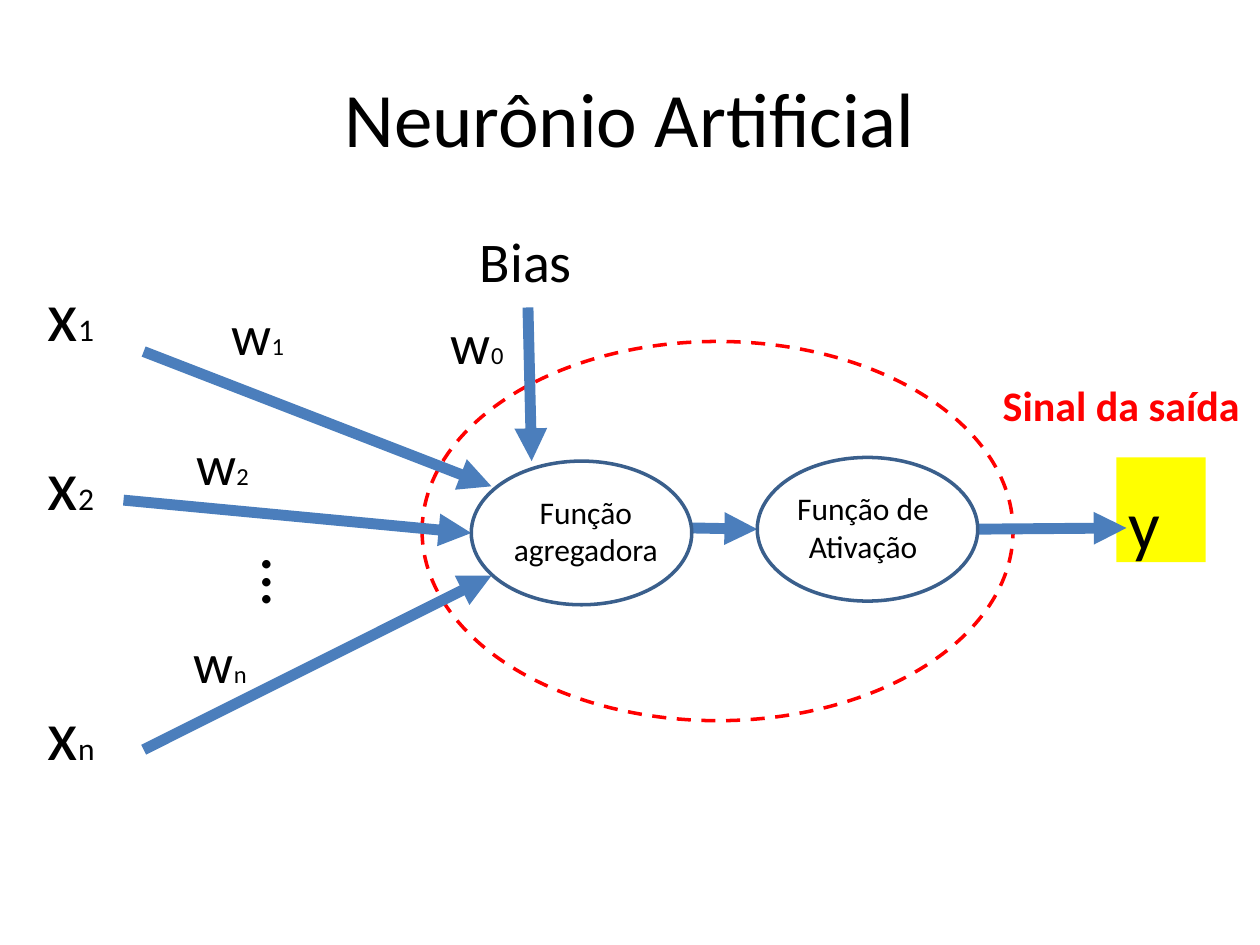
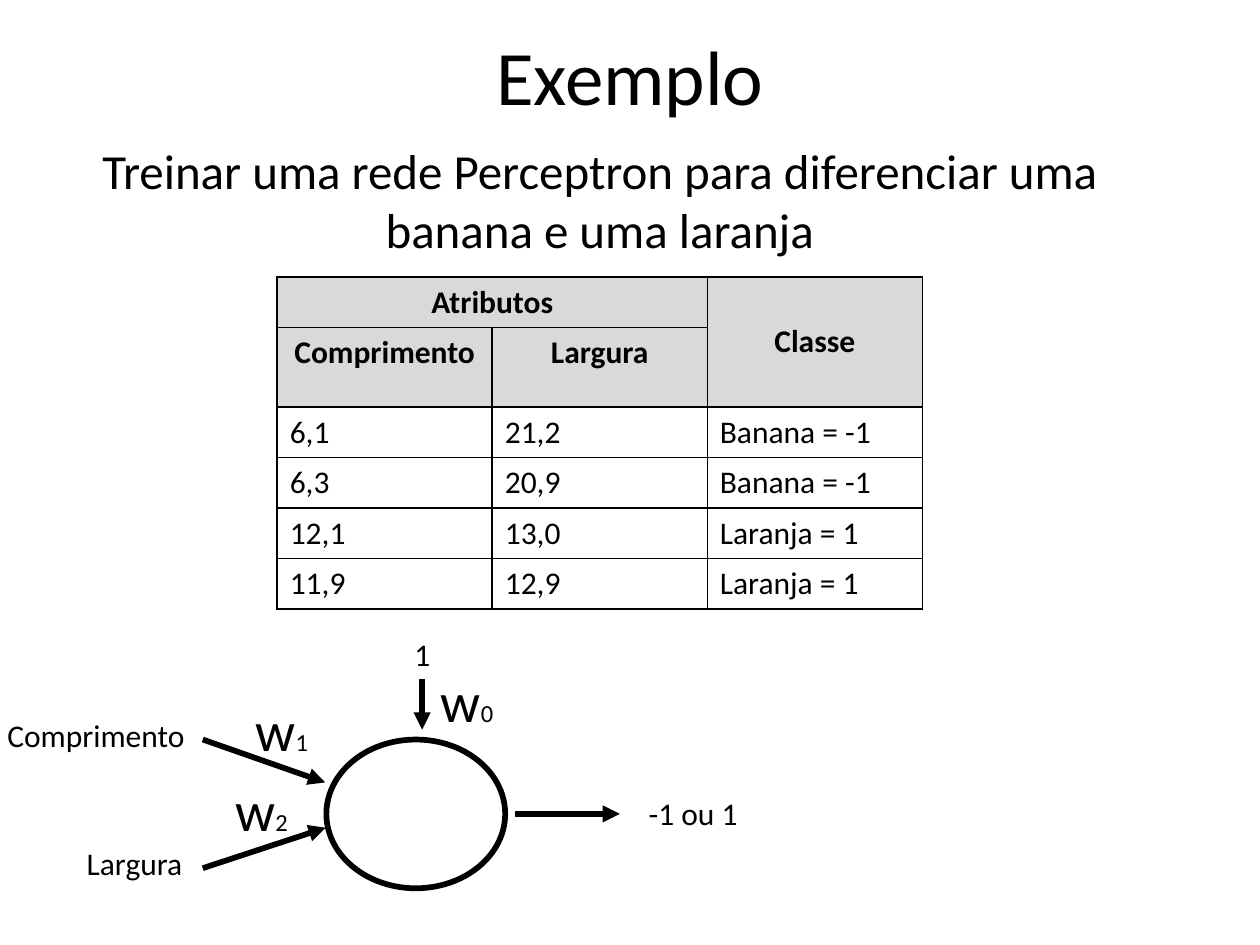
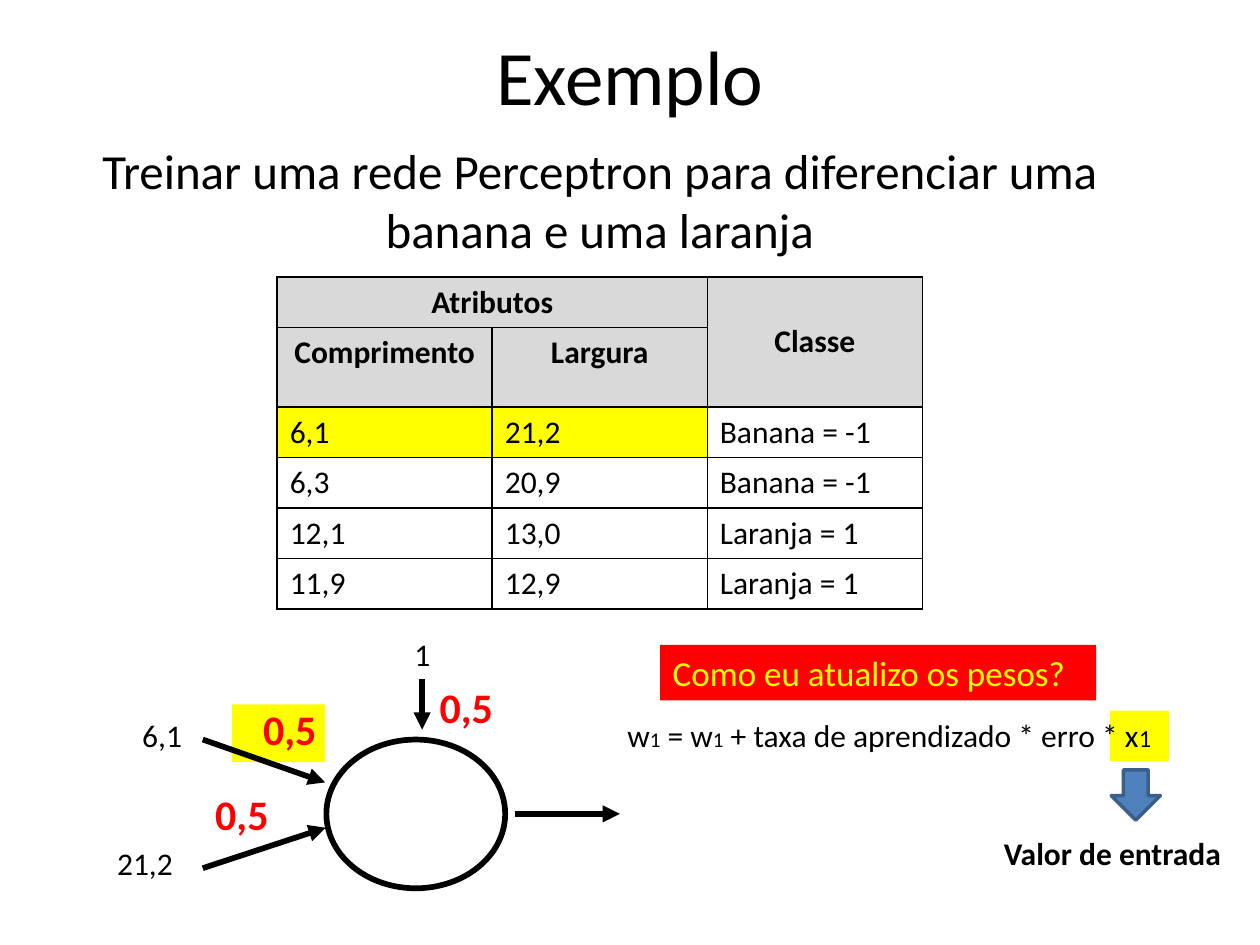
import pptx
import pptx.dml.color
import pptx.enum.dml
import pptx.enum.shapes
import pptx.enum.text
import pptx.util
from lxml import etree
from pptx.oxml.ns import qn

Pt = pptx.util.Pt
RGBColor = pptx.dml.color.RGBColor
SHAPE = pptx.enum.shapes.MSO_SHAPE
ALIGN = pptx.enum.text.PP_ALIGN
ANCHOR = pptx.enum.text.MSO_ANCHOR

FONT = "Calibri"
BLACK = RGBColor(0x00, 0x00, 0x00)
RED = RGBColor(0xFF, 0x00, 0x00)
YELLOW = RGBColor(0xFF, 0xFF, 0x00)
GRAY = RGBColor(0xD9, 0xD9, 0xD9)
BLUE = RGBColor(0x4F, 0x81, 0xBD)
ARROW_BLUE = RGBColor(0x4B, 0x7E, 0xBC)
OUTLINE_BLUE = RGBColor(0x3A, 0x5F, 0x8C)

# Boxes are (left, top, width, height); arrows are (x1, y1, x2, y2); all in points.
NEURON_ARROWS = [
    (82.1, 200.9, 280.8, 277.9),
    (70.6, 285.8, 269.3, 304.6),
    (82.1, 428.4, 280.8, 329),
    (558.7, 302.4, 643.7, 301.7),
    (395.3, 301.7, 432.7, 302.4),
    (301.7, 175.7, 303.8, 263.5),
]
NEURON_INPUTS = [("1", 151.2), ("2", 247.7), ("n", 391)]
NEURON_WEIGHTS = [("1", 125.3, 167), ("2", 105.1, 241.2), ("n", 103.7, 354.2), ("0", 250.6, 172.1)]
NEURON_FUNCTIONS = [
    ("Função agregadora", (280.8, 277.9, 108, 51.1), (269.3, 263.5, 126, 82.1)),
    ("Função de Ativação", (439.2, 275.8, 108, 51.1), (432.7, 261.4, 126, 82.1)),
]

GOAL = "Treinar uma rede Perceptron para diferenciar uma banana e uma laranja"
SAMPLES = [
    ("Atributos", "", "Classe"),
    ("Comprimento", "Largura", ""),
    ("6,1", "21,2", "Banana = -1"),
    ("6,3", "20,9", "Banana = -1"),
    ("12,1", "13,0", "Laranja = 1"),
    ("11,9", "12,9", "Laranja = 1"),
]
HEADER_ROWS = 2
COLUMN_WIDTH = 122.9
ROW_HEIGHTS = [28.8, 45.4, 28.8, 28.8, 28.8, 28.8]

PERCEPTRON_ARROWS = [
    (115.9, 422.6, 185.8, 447.1),
    (115.9, 496.1, 186.1, 473),
    (241.2, 388.1, 241.2, 416.9),
    (294.5, 465.1, 354.2, 465.1),
]
SIGNAL_NAMES = [
    ("Comprimento", -2.9, 405.4, 141.8),
    ("Largura", 42.5, 478.8, 79.2),
    ("-1 ou 1", 363.6, 450, 96.5),
]
SIGNAL_VALUES = [("6,1", 74.2, 405.4, 52.6), ("21,2", 59.8, 478.8, 59)]
PERCEPTRON_WEIGHTS = [("1", 139, 393.1), ("2", 127.4, 439.2), ("0", 244.8, 376.6)]
INITIAL_WEIGHT = "0,5"
INITIAL_WEIGHT_PLACES = [(244.1, 385.9), (143.3, 398.2), (115.9, 447.1)]
UPDATE_RULE = [("w", 18), ("1", 12), (" = w", 18), ("1", 12),
               (" + taxa de aprendizado * erro * x", 18), ("1", 14)]
UPDATE_HIGHLIGHTS = [(634.3, 406.1, 33.8, 28.8), (132.5, 402.5, 53.3, 33.1)]


def points(values):
    return [Pt(value) for value in values]


def add_runs(paragraph, runs, color=BLACK, bold=False, align=ALIGN.LEFT):
    """Add (text, size) runs to a paragraph."""
    paragraph.alignment = align
    for text, size in runs:
        run = paragraph.add_run()
        run.text = text
        run.font.name = FONT
        run.font.size = Pt(size)
        run.font.bold = bold
        run.font.color.rgb = color


def add_label(slide, box, runs, anchor=ANCHOR.TOP, **style):
    label = slide.shapes.add_textbox(*points(box))
    label.text_frame.word_wrap = True
    label.text_frame.vertical_anchor = anchor
    add_runs(label.text_frame.paragraphs[0], runs, **style)
    return label


def add_symbol(slide, box, letter, index, sizes):
    """Write a letter followed by its small index."""
    add_label(slide, box, list(zip((letter, index), sizes)), ANCHOR.BOTTOM)


def add_figure(slide, kind, box, fill=None, line=None, width=2):
    shape = slide.shapes.add_shape(kind, *points(box))
    shape.shadow.inherit = False
    if fill is None:
        shape.fill.background()
    else:
        shape.fill.solid()
        shape.fill.fore_color.rgb = fill
    if line is None:
        shape.line.fill.background()
    else:
        shape.line.color.rgb = line
        shape.line.width = Pt(width)
    return shape


def add_arrows(slide, arrows, color, width):
    for ends in arrows:
        arrow = slide.shapes.add_connector(pptx.enum.shapes.MSO_CONNECTOR.STRAIGHT, *points(ends))
        arrow.line.color.rgb = color
        arrow.line.width = Pt(width)
        etree.SubElement(arrow.line._get_or_add_ln(), qn("a:tailEnd"), type="triangle")
        etree.SubElement(arrow.element.spPr, qn("a:effectLst"))


def add_titled_slide(presentation, title, top):
    slide = presentation.slides.add_slide(presentation.slide_layouts[5])
    placeholder = slide.shapes.title
    placeholder.left, placeholder.top, placeholder.width, placeholder.height = points((36, top, 648, 90))
    placeholder.text_frame.vertical_anchor = ANCHOR.MIDDLE
    add_runs(placeholder.text_frame.paragraphs[0], [(title, 44)], align=ALIGN.CENTER)
    return slide


def add_borders(cell):
    properties = cell._tc.get_or_add_tcPr()
    for side in ("a:lnL", "a:lnR", "a:lnT", "a:lnB"):
        border = etree.SubElement(properties, qn(side), w=str(Pt(1)))
        fill = etree.SubElement(border, qn("a:solidFill"))
        etree.SubElement(fill, qn("a:srgbClr"), val=str(BLACK))


def add_samples_table(slide, highlighted):
    """Add the sample table, with the (row, column) places in highlighted in yellow."""
    columns = len(SAMPLES[0])
    box = (158.4, 158.4, columns * COLUMN_WIDTH, sum(ROW_HEIGHTS))
    table = slide.shapes.add_table(len(SAMPLES), columns, *points(box)).table
    table.first_row = table.horz_banding = False
    for column in table.columns:
        column.width = Pt(COLUMN_WIDTH)
    for row_index, values in enumerate(SAMPLES):
        table.rows[row_index].height = Pt(ROW_HEIGHTS[row_index])
        header = row_index < HEADER_ROWS
        for column_index, value in enumerate(values):
            cell = table.cell(row_index, column_index)
            add_borders(cell)
            if header or (row_index, column_index) in highlighted:
                cell.fill.solid()
                cell.fill.fore_color.rgb = GRAY if header else YELLOW
            else:
                cell.fill.background()
            if value:
                add_runs(cell.text_frame.paragraphs[0], [(value, 18)], bold=header,
                         align=ALIGN.CENTER if header else ALIGN.LEFT)
    table.cell(0, 0).merge(table.cell(0, 1))
    table.cell(0, 2).merge(table.cell(1, 2))
    table.cell(0, 2).vertical_anchor = ANCHOR.MIDDLE


def add_example_slide(presentation, signals, highlighted=(), highlight_boxes=()):
    """Add what both example slides share: goal, samples and perceptron."""
    slide = add_titled_slide(presentation, "Exemplo", -2.2)
    for box in highlight_boxes:
        add_figure(slide, SHAPE.RECTANGLE, box, fill=YELLOW)
    add_label(slide, (36.7, 77, 612, 74.9), [(GOAL, 28)], align=ALIGN.CENTER)
    add_samples_table(slide, highlighted)
    add_figure(slide, SHAPE.OVAL, (186.5, 422.6, 102.2, 85), line=BLACK, width=3.25)
    add_arrows(slide, PERCEPTRON_ARROWS, BLACK, 3.25)
    for text, left, top, width in signals + [("1", 229.7, 359.3, 31.7)]:
        add_label(slide, (left, top, width, 28.8), [(text, 18)])
    return slide


def add_neuron_slide(presentation):
    slide = add_titled_slide(presentation, "Neurônio Artificial", 21.6)
    add_figure(slide, SHAPE.RECTANGLE, (637.9, 261.4, 51.1, 59.8), fill=YELLOW)
    neuron = add_figure(slide, SHAPE.OVAL, (241.2, 195.1, 337.7, 216.7), line=RED)
    neuron.line.dash_style = pptx.enum.dml.MSO_LINE.DASH
    add_arrows(slide, NEURON_ARROWS, ARROW_BLUE, 6.25)
    dots = add_label(slide, (110.9, 286.6, 63.4, 68.4), [("...", 40)])
    dots.element.txBody.bodyPr.set("vert", "vert270")
    for name, text_box, oval_box in NEURON_FUNCTIONS:
        add_label(slide, text_box, [(name, 18)], align=ALIGN.CENTER)
        add_figure(slide, SHAPE.OVAL, oval_box, line=OUTLINE_BLUE)
    for index, top in NEURON_INPUTS:
        add_symbol(slide, (20.2, top, 51.1, 55.4), "x", index, (40, 18))
    for index, left, top in NEURON_WEIGHTS:
        add_symbol(slide, (left, top, 69.8, 46.1), "w", index, (32, 14))
    add_label(slide, (637.9, 270.7, 51.1, 55.4), [("y", 40)], ANCHOR.BOTTOM)
    add_label(slide, (565.9, 213.1, 157, 36), [("Sinal da saída", 24)], color=RED, bold=True)
    add_label(slide, (267.1, 126, 73.4, 46.1), [("Bias", 32)])


def add_perceptron_slide(presentation):
    slide = add_example_slide(presentation, SIGNAL_NAMES)
    for index, left, top in PERCEPTRON_WEIGHTS:
        add_symbol(slide, (left, top, 69.8, 46.1), "w", index, (32, 14))


def add_update_slide(presentation):
    slide = add_example_slide(presentation, SIGNAL_VALUES, [(2, 0), (2, 1)], UPDATE_HIGHLIGHTS)
    add_label(slide, (351.4, 405.4, 337, 28.8), UPDATE_RULE)
    for left, top in INITIAL_WEIGHT_PLACES:
        add_label(slide, (left, top, 69.8, 36), [(INITIAL_WEIGHT, 24)], ANCHOR.BOTTOM, color=RED, bold=True)
    question = add_figure(slide, SHAPE.RECTANGLE, (377.3, 368.6, 249.1, 31.7), fill=RED)
    add_runs(question.text_frame.paragraphs[0], [("Como eu atualizo os pesos?", 20)], color=YELLOW)
    add_figure(slide, SHAPE.DOWN_ARROW, (635, 439.9, 28.1, 28.8), fill=BLUE, line=OUTLINE_BLUE)
    add_label(slide, (566.6, 473, 139.7, 28.8), [("Valor de entrada", 18)], bold=True)


def main():
    presentation = pptx.Presentation()
    presentation.slide_width, presentation.slide_height = Pt(720), Pt(540)
    add_neuron_slide(presentation)
    add_perceptron_slide(presentation)
    add_update_slide(presentation)
    presentation.save("out.pptx")


if __name__ == "__main__":
    main()
